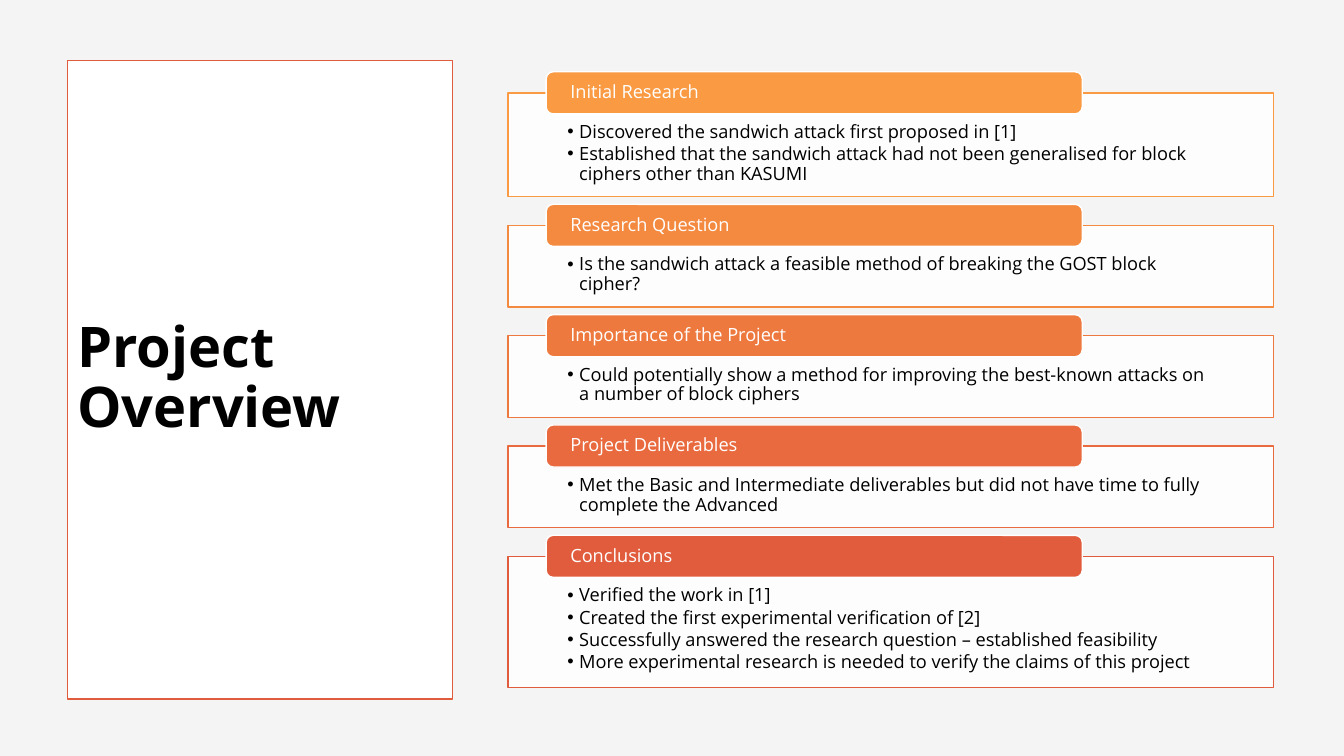
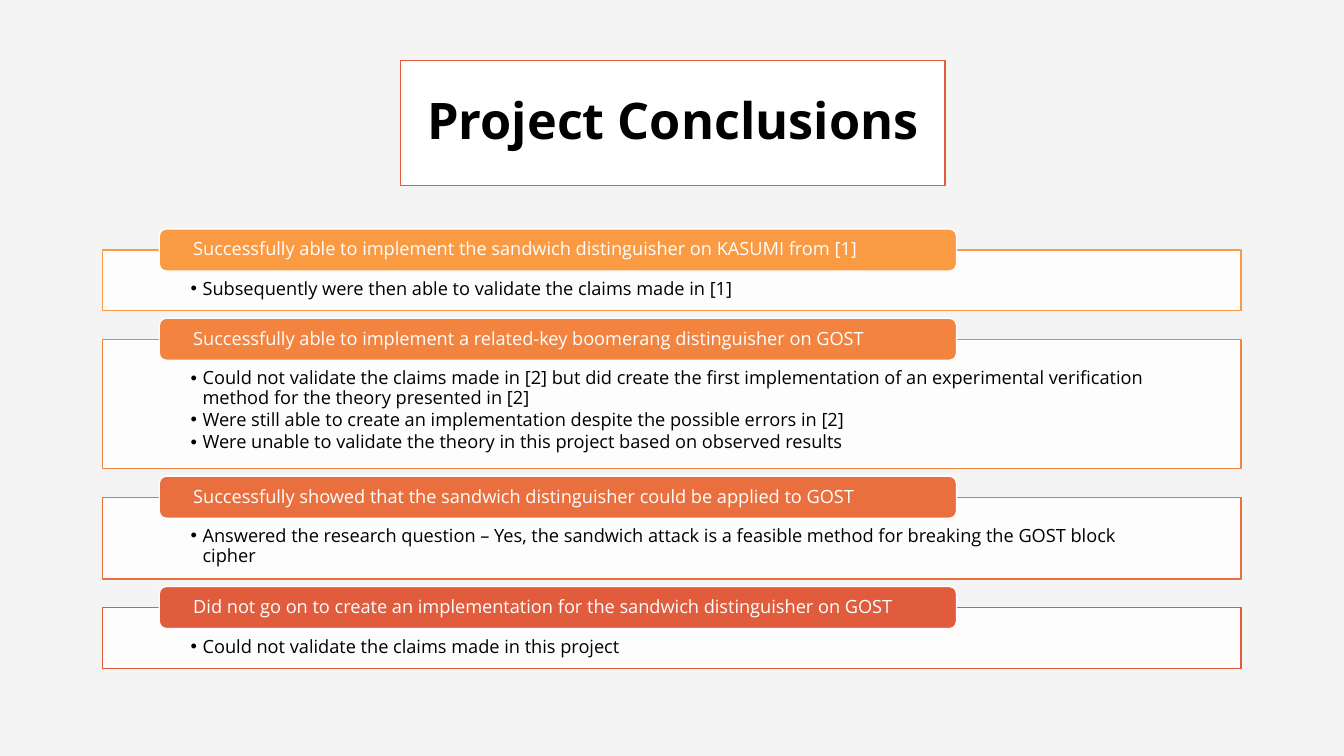
from dataclasses import dataclass

from lxml import etree
from pptx import Presentation
from pptx.dml.color import RGBColor
from pptx.enum.shapes import MSO_SHAPE
from pptx.enum.text import MSO_ANCHOR, MSO_AUTO_SIZE, PP_ALIGN
from pptx.oxml.ns import qn
from pptx.util import Cm, Pt

RECT, ROUND = MSO_SHAPE.RECTANGLE, MSO_SHAPE.ROUNDED_RECTANGLE
TOP, MIDDLE = MSO_ANCHOR.TOP, MSO_ANCHOR.MIDDLE
LEFT, CENTER = PP_ALIGN.LEFT, PP_ALIGN.CENTER
NO_FIT = MSO_AUTO_SIZE.NONE

# Shared look
FONT = "Open Sans"
PAPER, WHITE, BLACK, RED = "F4F4F4", "FFFFFF", "000000", "E15C3D"
TEXT_SIZE = 13
OPACITY = 90
GAP = 0.72
TAB_HIGH = 1.06
INDENT = 0.3


@dataclass
class Card:
    """A framed list under a coloured tab; height in cm."""
    head: str
    color: str
    high: float
    items: list[str]


@dataclass
class Title:
    text: str
    box: tuple[float, float, float, float]
    size: int
    align: PP_ALIGN


@dataclass
class Page:
    """A title and a stack of cards; lengths in cm."""
    title: Title
    left: float
    top: float
    wide: float
    cards: list[Card]


PAGES = [
    Page(
        Title("Project Overview", (1.7, 1.52, 9.7, 16.09), 40, LEFT),
        12.8, 2.34, 19.3,
        [
            Card("Initial Research", "FA9A42", 2.62, [
                "Discovered the sandwich attack first proposed in [1]",
                "Established that the sandwich attack had not been "
                "generalised for block ciphers other than KASUMI",
            ]),
            Card("Research Question", "F48940", 2.06, [
                "Is the sandwich attack a feasible method of breaking "
                "the GOST block cipher?",
            ]),
            Card("Importance of the Project", "EE793F", 2.06, [
                "Could potentially show a method for improving the "
                "best-known attacks on a number of block ciphers",
            ]),
            Card("Project Deliverables", "E86A3E", 2.06, [
                "Met the Basic and Intermediate deliverables but did not "
                "have time to fully complete the Advanced",
            ]),
            Card("Conclusions", RED, 3.3, [
                "Verified the work in [1]",
                "Created the first experimental verification of [2]",
                "Successfully answered the research question – "
                "established feasibility",
                "More experimental research is needed to verify the "
                "claims of this project",
            ]),
        ],
    ),
    Page(
        Title("Project Conclusions", (10.1, 1.52, 13.72, 3.15), 36, CENTER),
        2.58, 6.3, 28.7,
        [
            Card("Successfully able to implement the sandwich "
                 "distinguisher on KASUMI from [1]", "FA9A42", 1.53, [
                     "Subsequently were then able to validate the claims "
                     "made in [1]",
                 ]),
            Card("Successfully able to implement a related-key boomerang "
                 "distinguisher on GOST", "F28440", 3.26, [
                     "Could not validate the claims made in [2] but did "
                     "create the first implementation of an experimental "
                     "verification method for the theory presented in [2]",
                     "Were still able to create an implementation despite "
                     "the possible errors in [2]",
                     "Were unable to validate the theory in this project "
                     "based on observed results",
                 ]),
            Card("Successfully showed that the sandwich distinguisher "
                 "could be applied to GOST", "EA6F3E", 2.06, [
                     "Answered the research question – Yes, the sandwich "
                     "attack is a feasible method for breaking the GOST "
                     "block cipher",
                 ]),
            Card("Did not go on to create an implementation for the "
                 "sandwich distinguisher on GOST", RED, 1.53, [
                     "Could not validate the claims made in this project",
                 ]),
        ],
    ),
]


def rgb(code: str) -> RGBColor:
    return RGBColor.from_string(code)


def paint(shape, fill: str, line: str) -> None:
    shape.fill.solid()
    shape.fill.fore_color.rgb = rgb(fill)
    shape.line.color.rgb = rgb(line)
    shape.line.width = Pt(1)


def fade(shape) -> None:
    """Make the solid fill slightly see-through."""
    color = shape.fill._xPr.find(qn("a:solidFill"))[0]
    etree.SubElement(color, qn("a:alpha"), val=str(OPACITY * 1000))


def write(para, text: str, size: int, color: str, bold: bool = False,
          align: PP_ALIGN = LEFT) -> None:
    para.alignment = align
    para.line_spacing = 0.9
    run = para.add_run()
    run.text = text
    run.font.name = FONT
    run.font.size = Pt(size)
    run.font.bold = bold
    run.font.color.rgb = rgb(color)


def bullet(para) -> None:
    para.space_after = Pt(1.8)
    props = para._p.get_or_add_pPr()
    props.set("marL", str(Cm(INDENT)))
    props.set("indent", str(-Cm(INDENT)))
    etree.SubElement(props, qn("a:buFont"), typeface="Arial")
    etree.SubElement(props, qn("a:buChar"), char="•")


def add_box(slide, kind: MSO_SHAPE, box: tuple[float, float, float, float],
            fill: str, line: str):
    shape = slide.shapes.add_shape(kind, *map(Cm, box))
    shape.shadow.inherit = False
    paint(shape, fill, line)
    return shape


def set_frame(shape, anchor: MSO_ANCHOR, side: float, top: float,
              base: float):
    frame = shape.text_frame
    frame.word_wrap = True
    frame.auto_size = NO_FIT
    frame.vertical_anchor = anchor
    frame.margin_left = frame.margin_right = Cm(side)
    frame.margin_top, frame.margin_bottom = Cm(top), Cm(base)
    return frame


def add_title(slide, title: Title) -> None:
    shape = slide.shapes.title
    shape.left, shape.top, shape.width, shape.height = map(Cm, title.box)
    paint(shape, WHITE, RED)
    frame = set_frame(shape, MIDDLE, 0.25, 0.13, 0.13)
    write(frame.paragraphs[0], title.text, title.size, BLACK, True,
          title.align)


def add_card(slide, card: Card, left: float, top: float,
             wide: float) -> None:
    # Framed list
    body = add_box(slide, RECT, (left, top, wide, card.high), WHITE,
                   card.color)
    fade(body)
    frame = set_frame(body, TOP, wide * 0.0776, 0.75, 0.25)
    for i, item in enumerate(card.items):
        para = frame.add_paragraph() if i else frame.paragraphs[0]
        para.level = 1
        write(para, item, TEXT_SIZE, BLACK)
        bullet(para)

    # Tab centred on the top edge
    tab = add_box(slide, ROUND, (left + wide * 0.05, top - TAB_HIGH / 2,
                                 wide * 0.7, TAB_HIGH), card.color, WHITE)
    frame = set_frame(tab, MIDDLE, wide / 38 + 0.05, 0, 0)
    write(frame.paragraphs[0], card.head, TEXT_SIZE, WHITE)


def add_page(deck, page: Page) -> None:
    slide = deck.slides.add_slide(deck.slide_layouts.get_by_name("Title Only"))
    add_title(slide, page.title)
    top = page.top
    for card in page.cards:
        add_card(slide, card, page.left, top, page.wide)
        top += card.high + GAP


def main() -> None:
    deck = Presentation()
    deck.slide_width, deck.slide_height = Cm(33.87), Cm(19.05)
    back = deck.slide_master.background.fill
    back.solid()
    back.fore_color.rgb = rgb(PAPER)
    for page in PAGES:
        add_page(deck, page)
    deck.save("out.pptx")


if __name__ == "__main__":
    main()
